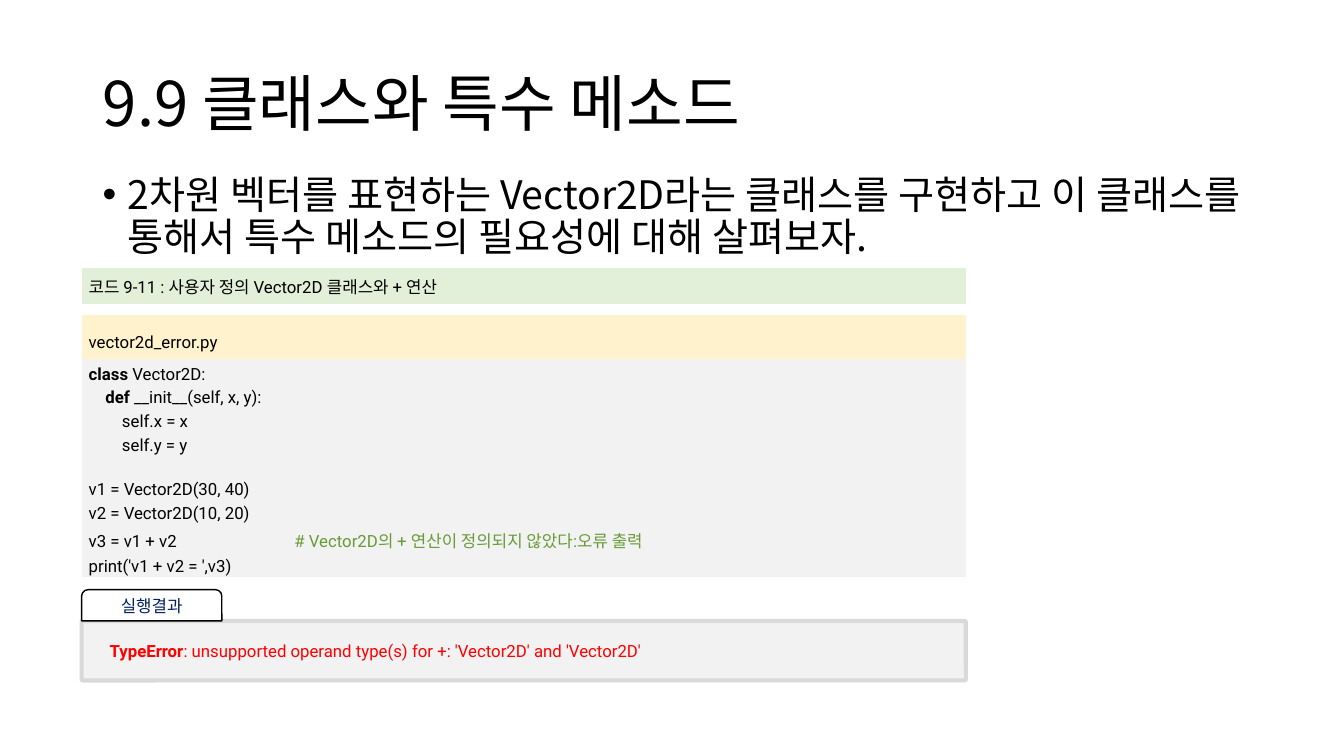
from lxml import etree
from pptx import Presentation
from pptx.dml.color import RGBColor
from pptx.enum.shapes import MSO_SHAPE
from pptx.enum.text import MSO_ANCHOR, MSO_AUTO_SIZE, PP_ALIGN
from pptx.oxml.ns import qn
from pptx.util import Inches, Pt

ROUND_RECTANGLE = MSO_SHAPE.ROUNDED_RECTANGLE
TAB_RECTANGLE = MSO_SHAPE.ROUND_2_SAME_RECTANGLE
MIDDLE = MSO_ANCHOR.MIDDLE
NO_AUTOFIT = MSO_AUTO_SIZE.NONE
LEFT, CENTER, JUSTIFY = PP_ALIGN.LEFT, PP_ALIGN.CENTER, PP_ALIGN.JUSTIFY
KOREAN_FONT = "Noto Sans CJK KR"
CODE_FONT = "Roboto"
BLACK = "000000"
NO_TABLE_STYLE = "{2D5ABB26-0587-4C30-8999-92F81FD0307C}"


def color(value):
    return RGBColor.from_string(value)


def write(paragraph, runs, size, font_name, font_color, alignment, spacing):
    paragraph.alignment = alignment
    paragraph.line_spacing = spacing
    paragraph.font.size = Pt(size)
    paragraph.font.name = font_name
    paragraph.font.color.rgb = color(font_color)
    defaults = paragraph._p.pPr.find(qn("a:defRPr"))
    etree.SubElement(defaults, qn("a:ea"), typeface=KOREAN_FONT)
    for text, bold, run_color in runs:
        run = paragraph.add_run()
        run.text = text
        run.font.size = Pt(size)
        run.font.name = font_name
        run.font.bold = bold
        run.font.color.rgb = color(run_color or font_color)
        etree.SubElement(run.font._element, qn("a:ea"), typeface=KOREAN_FONT)


presentation = Presentation()
presentation.slide_width = Inches(13.33)
presentation.slide_height = Inches(7.5)
slide = presentation.slides.add_slide(presentation.slide_layouts[5])

title = slide.shapes.title
title.left, title.top = Inches(0.92), Inches(0.33)
title.width, title.height = Inches(11.5), Inches(1.45)
title.text_frame.auto_size = NO_AUTOFIT
title.text_frame.vertical_anchor = MIDDLE
write(title.text_frame.paragraphs[0], [("9.9 클래스와 특수 메소드", False, None)],
      44, KOREAN_FONT, BLACK, LEFT, 0.9)

body = slide.shapes.add_textbox(Inches(0.92), Inches(1.69), Inches(11.5), Inches(4.76))
body.text_frame.word_wrap = True
bullet_paragraph = body.text_frame.paragraphs[0]
bullet_text = ("2차원 벡터를 표현하는 Vector2D라는 클래스를 구현하고 이 "
               "클래스를 통해서 특수 메소드의 필요성에 대해 살펴보자.")
write(bullet_paragraph, [(bullet_text, False, None)], 28, KOREAN_FONT, BLACK, LEFT, 0.9)
bullet_paragraph.space_before = Pt(10)
bullet_properties = bullet_paragraph._p.pPr
bullet_properties.set("marL", str(Inches(0.25)))
bullet_properties.set("indent", str(-Inches(0.25)))
bullet_defaults = bullet_properties.find(qn("a:defRPr"))
for tag, attributes in [("a:buFont", {"typeface": "Arial"}), ("a:buChar", {"char": "•"})]:
    bullet_defaults.addprevious(etree.Element(qn(tag), attributes))

ROWS = [
    (0.36, "E2F0D9", LEFT, 1.0,
     [[("코드 9-11 : 사용자 정의 Vector2D 클래스와 + 연산", False, None)]]),
    (0.11, None, LEFT, 1.0, []),
    (0.43, "FFF2CC", JUSTIFY, 1.6, [[("vector2d_error.py", False, None)]]),
    (2.17, "F2F2F2", JUSTIFY, 1.2, [
        [("class", True, None), (" Vector2D:", False, None)],
        [("    ", False, None), ("def", True, None), (" __init__(self, x, y):", False, None)],
        [("        self.x = x", False, None)],
        [("        self.y = y", False, None)],
        [("v1 = Vector2D(30, 40)", False, None)],
        [("v2 = Vector2D(10, 20)", False, None)],
        [("v3 = v1 + v2\t", False, None),
         ("# Vector2D의 + 연산이 정의되지 않았다:오류 출력", False, "699B37")],
        [("print('v1 + v2 = ',v3)", False, None)],
    ]),
]
code_table = slide.shapes.add_table(
    len(ROWS), 1, Inches(0.81), Inches(2.66), Inches(8.77), Inches(3.07)).table
code_table.first_row = False
code_table.horz_banding = False
code_table._tbl.tblPr.find(qn("a:tableStyleId")).text = NO_TABLE_STYLE

for row_index, (height, fill, alignment, spacing, lines) in enumerate(ROWS):
    code_table.rows[row_index].height = Inches(height)
    cell = code_table.cell(row_index, 0)
    cell.vertical_anchor = MIDDLE
    cell.margin_left = cell.margin_right = Inches(0.07)
    cell.margin_top = cell.margin_bottom = Inches(0.02)
    if fill:
        cell.fill.solid()
        cell.fill.fore_color.rgb = color(fill)
    else:
        cell.fill.background()
        etree.SubElement(cell.text_frame.paragraphs[0]._p, qn("a:endParaRPr"), sz="100")
    for line_index, runs in enumerate(lines):
        frame = cell.text_frame
        paragraph = frame.add_paragraph() if line_index else frame.paragraphs[0]
        write(paragraph, runs, 12, CODE_FONT, BLACK, alignment, spacing)
        if runs[0][0].startswith("v1"):
            paragraph.space_before = Pt(15)
        if runs[0][0].endswith("\t"):
            tab_list = etree.Element(qn("a:tabLst"))
            etree.SubElement(tab_list, qn("a:tab"), pos=str(Inches(2.04)), algn="l")
            paragraph._p.pPr.find(qn("a:defRPr")).addprevious(tab_list)

result_group = slide.shapes.add_group_shape()
RESULT_SHAPES = [
    (ROUND_RECTANGLE, 6.16, 8.77, 0.59, 0.023, "F2F2F2", "D9D9D9", 3),
    (TAB_RECTANGLE, 5.85, 1.39, 0.31, 0.2, "FFFFFF", BLACK, 1),
]
for kind, top, width, height, rounding, fill, line, line_width in RESULT_SHAPES:
    shape = result_group.shapes.add_shape(
        kind, Inches(0.81), Inches(top), Inches(width), Inches(height))
    shape.adjustments[0] = rounding
    shape.shadow.inherit = False
    shape.fill.solid()
    shape.fill.fore_color.rgb = color(fill)
    shape.line.color.rgb = color(line)
    shape.line.width = Pt(line_width)

result_tab = result_group.shapes[1]
result_tab.text_frame.vertical_anchor = MIDDLE
write(result_tab.text_frame.paragraphs[0], [("실행결과", False, None)],
      12, KOREAN_FONT, "002060", CENTER, 1.0)

error_box = result_group.shapes.add_textbox(
    Inches(0.99), Inches(6.27), Inches(8), Inches(0.33))
error_box.text_frame.word_wrap = True
error_paragraph = error_box.text_frame.paragraphs[0]
error_runs = [
    ("TypeError", True, None),
    (": unsupported operand type(s) for +: 'Vector2D' and 'Vector2D'", False, None),
]
write(error_paragraph, error_runs, 12, CODE_FONT, "FF0000", JUSTIFY, 1.2)
error_paragraph.space_after = Pt(4)

presentation.save("out.pptx")
